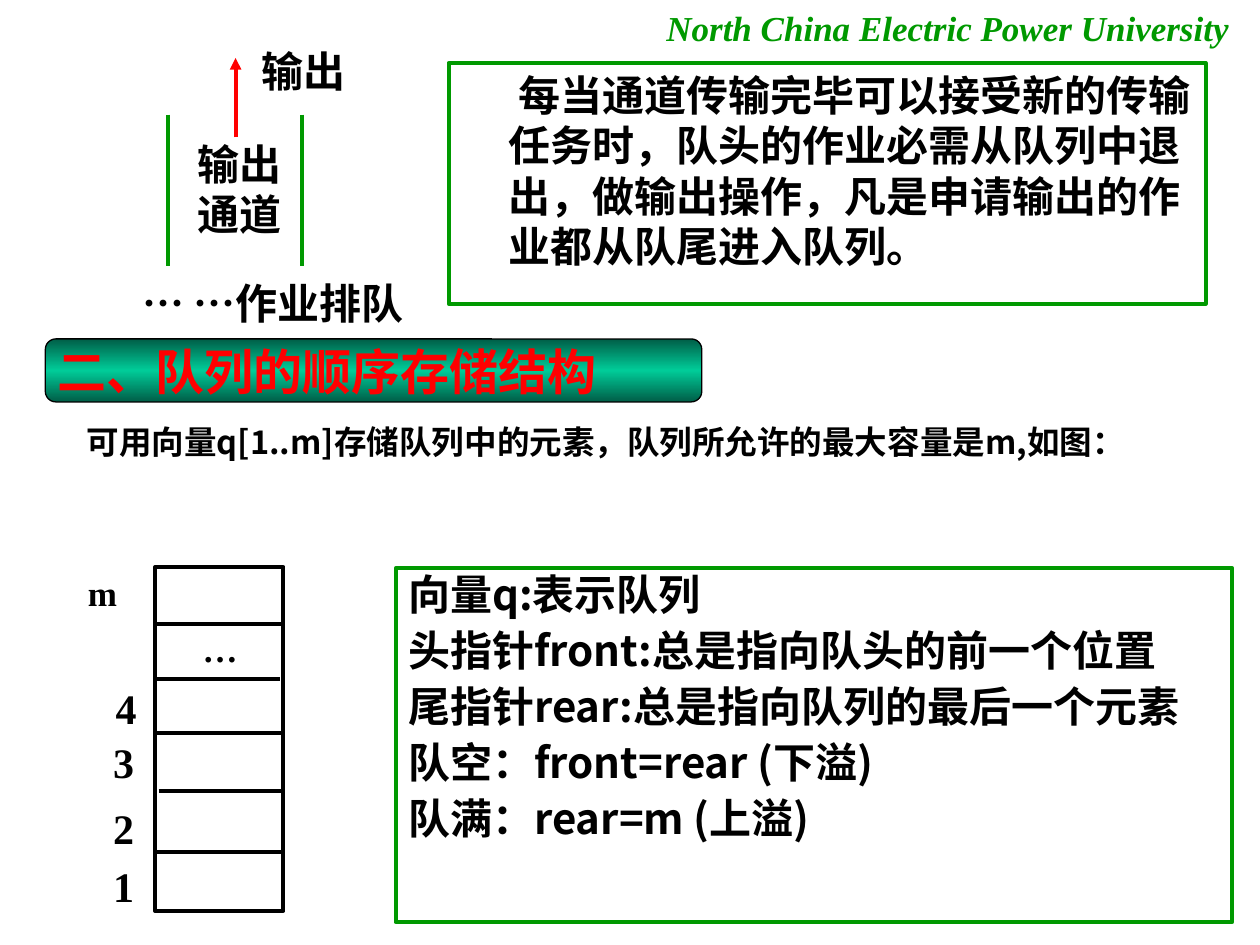
from typing import NamedTuple

from lxml import etree
from pptx import Presentation
from pptx.dml.color import RGBColor
from pptx.enum.shapes import MSO_CONNECTOR, MSO_SHAPE
from pptx.enum.text import MSO_ANCHOR, MSO_AUTO_SIZE, PP_ALIGN
from pptx.oxml.ns import qn
from pptx.util import Inches, Pt

GREEN = RGBColor(0x00, 0x99, 0x00)
RED = RGBColor(0xFF, 0x00, 0x00)
BLACK = RGBColor(0x00, 0x00, 0x00)
DARK_TEAL = RGBColor(0x00, 0x5E, 0x47)
TEAL = RGBColor(0x00, 0xCC, 0x99)

SERIF = "Times New Roman"
SANS = "Noto Sans CJK SC"
STRAIGHT = MSO_CONNECTOR.STRAIGHT
RECTANGLE = MSO_SHAPE.RECTANGLE
ROUNDED = MSO_SHAPE.ROUNDED_RECTANGLE
LEFT = PP_ALIGN.LEFT
TOP, MIDDLE = MSO_ANCHOR.TOP, MSO_ANCHOR.MIDDLE

# The page is a grid of 100 columns by 75 rows of square cells.
COLUMNS, ROWS = 100, 75
CELL = Inches(0.1)
RULE = Pt(2.25)


class Box(NamedTuple):
    """An area of the page, measured in grid cells."""
    left: float
    top: float
    width: float
    height: float

    def inner(self, left, top, width, height):
        return Box(self.left + left, self.top + top, width, height)

    def lengths(self):
        return [round(value * CELL) for value in self]


def add_span(para, text, size, color=BLACK, font=SERIF, italic=False):
    span = para.add_run()
    span.text = text
    span.font.size = Pt(size)
    span.font.name = font
    span.font.bold = True
    span.font.italic = italic
    span.font.color.rgb = color
    east_asian = etree.SubElement(span.font._element, qn("a:ea"))
    east_asian.set("typeface", SANS)


def write(shape, lines, size, anchor=TOP, spacing=1.0, before=0,
          margin=0, indent=0, **style):
    """Fill a shape with one paragraph per line, without bullets."""
    frame = shape.text_frame
    frame.word_wrap = True
    frame.auto_size = MSO_AUTO_SIZE.NONE
    frame.vertical_anchor = anchor
    for number, line in enumerate(lines):
        para = frame.add_paragraph() if number else frame.paragraphs[0]
        properties = para._p.get_or_add_pPr()
        properties.set("marL", str(round(margin * CELL)))
        properties.set("indent", str(round(indent * CELL)))
        etree.SubElement(properties, qn("a:buNone"))
        para.alignment = LEFT
        para.line_spacing = spacing
        para.space_before = Pt(before if number else 0)
        add_span(para, line, size, **style)


def add_label(page, box, lines, size, **style):
    write(page.shapes.add_textbox(*box.lengths()), lines, size, **style)


def add_line(page, start, end, color, arrow=False):
    ends = [round(value * CELL) for value in (*start, *end)]
    line = page.shapes.add_connector(STRAIGHT, *ends)
    line.line.color.rgb = color
    line.line.width = RULE
    if arrow:
        etree.SubElement(line.line._get_or_add_ln(), qn("a:tailEnd"), type="triangle")
    etree.SubElement(line._element.spPr, qn("a:effectLst"))


def add_frame(page, box, color):
    frame = page.shapes.add_shape(RECTANGLE, *box.lengths())
    frame.shadow.inherit = False
    frame.fill.background()
    frame.line.color.rgb = color
    frame.line.width = RULE
    return frame


def place(placeholder, box):
    (placeholder.left, placeholder.top,
     placeholder.width, placeholder.height) = box.lengths()


def add_channel(page, box):
    """Output channel between two walls, with the jobs waiting below."""
    wall_top, wall_height = 6, 12
    for column in (3, 13.7):
        x, y = box.left + column, box.top + wall_top
        add_line(page, (x, y), (x, y + wall_height), GREEN)
    x = box.left + 8.4
    add_line(page, (x, box.top + 7.8), (x, box.top + 1.5), RED, arrow=True)
    add_label(page, box.inner(9.5, 0, 9, 5), ["输出"], 24)
    add_label(page, box.inner(4.4, 7.4, 9, 9), ["输出", "通道"], 24)
    add_label(page, box.inner(0, 18.4, box.width, 5), ["… …作业排队"], 24)


def add_explanation(page, box):
    text = ("每当通道传输完毕可以接受新的传输任务时，队头的作业必需从队列中退出，"
            "做输出操作，凡是申请输出的作业都从队尾进入队列。")
    write(add_frame(page, box, GREEN), [text], 24,
          font=SANS, margin=3.75, indent=0.8)


def add_heading(page, box):
    """Title on a rounded bar shaded from dark to light to dark."""
    bar = page.shapes.add_shape(ROUNDED, *box.lengths())
    bar.shadow.inherit = False
    bar.line.color.rgb = BLACK
    bar.line.width = Pt(0.75)
    bar.fill.gradient()
    bar.fill.gradient_angle = 90
    stops = bar._element.spPr.find(".//" + qn("a:gsLst"))
    for stop in list(stops):
        stops.remove(stop)
    for share, color in ((0, DARK_TEAL), (50, TEAL), (100, DARK_TEAL)):
        stop = etree.SubElement(stops, qn("a:gs"), pos=str(share * 1000))
        etree.SubElement(stop, qn("a:srgbClr"), val=str(color))

    title = page.shapes.title
    place(title, box)
    write(title, ["二、队列的顺序存储结构"], 28, anchor=MIDDLE, color=RED)
    bar._element.addnext(title._element)


def add_vector(page, box):
    """Column of cells holding the queue, with an index beside each."""
    cells = box.inner(6.3, 0.1, 10.2, 27.3)
    add_frame(page, cells, BLACK)
    for row, shift in ((4.5, 0.1), (8.9, 0), (13.2, 0.1), (17.8, 0.3), (22.6, 0.1)):
        x, y = cells.left + shift, box.top + row + 0.1
        add_line(page, (x, y), (x + 9.9, y), BLACK)
    indexes = (("m", 0, 0, 20), ("…", 9.1, 4.4, 20), ("4", 2.2, 8.8, 24),
               ("3", 2, 13.1, 24), ("2", 2, 18.3, 24), ("1", 2, 22.9, 24))
    for text, column, row, size in indexes:
        add_label(page, box.inner(column, row, 5, 5), [text], size)


def add_definitions(page, box):
    body = page.placeholders[1]
    place(body, box)
    body.line.color.rgb = GREEN
    body.line.width = RULE
    lines = ["向量q:表示队列",
             "头指针front:总是指向队头的前一个位置",
             "尾指针rear:总是指向队列的最后一个元素",
             "队空：front=rear (下溢)",
             "队满：rear=m (上溢)"]
    write(body, lines, 24, font=SANS, spacing=0.9, before=6,
          margin=3.75, indent=-3.75)


def main():
    deck = Presentation()
    deck.slide_width, deck.slide_height = COLUMNS * CELL, ROWS * CELL
    page = deck.slides.add_slide(deck.slide_layouts[1])

    add_label(page, Box(51.9, 0, 48, 4.4), ["North China Electric Power University"],
              20, color=GREEN, italic=True)
    add_channel(page, Box(10.3, 3.1, 23.2, 23.4))
    add_explanation(page, Box(35.6, 5, 60.1, 19.1))
    add_heading(page, Box(3.6, 26.9, 52.1, 5))
    add_label(page, Box(2.4, 33.6, 91.5, 7.7),
              ["可用向量q[1..m]存储队列中的元素，队列所允许的最大容量是m,如图："],
              18.6, font=SANS, spacing=0.8, margin=3.5)
    add_vector(page, Box(6, 44.9, 16.5, 27.8))
    add_definitions(page, Box(31.4, 45.1, 66.4, 28.1))
    deck.save("out.pptx")


if __name__ == "__main__":
    main()
